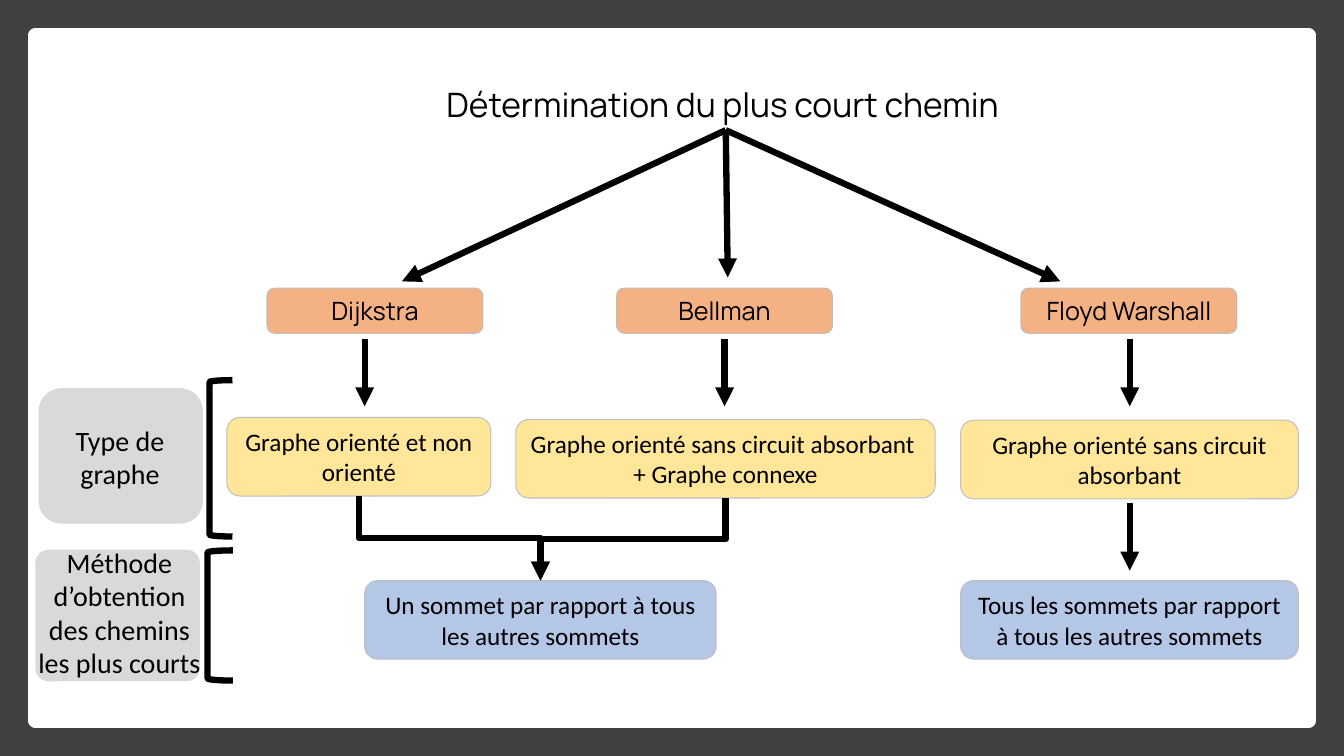
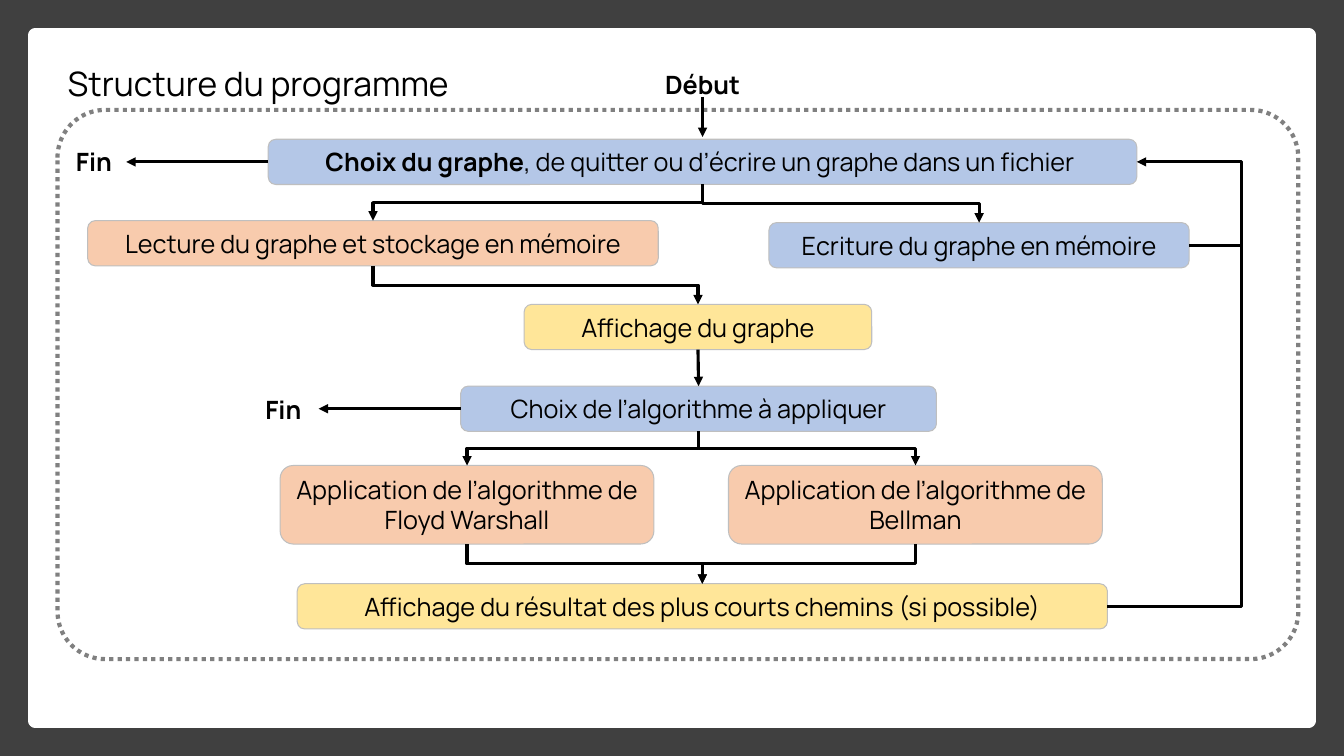
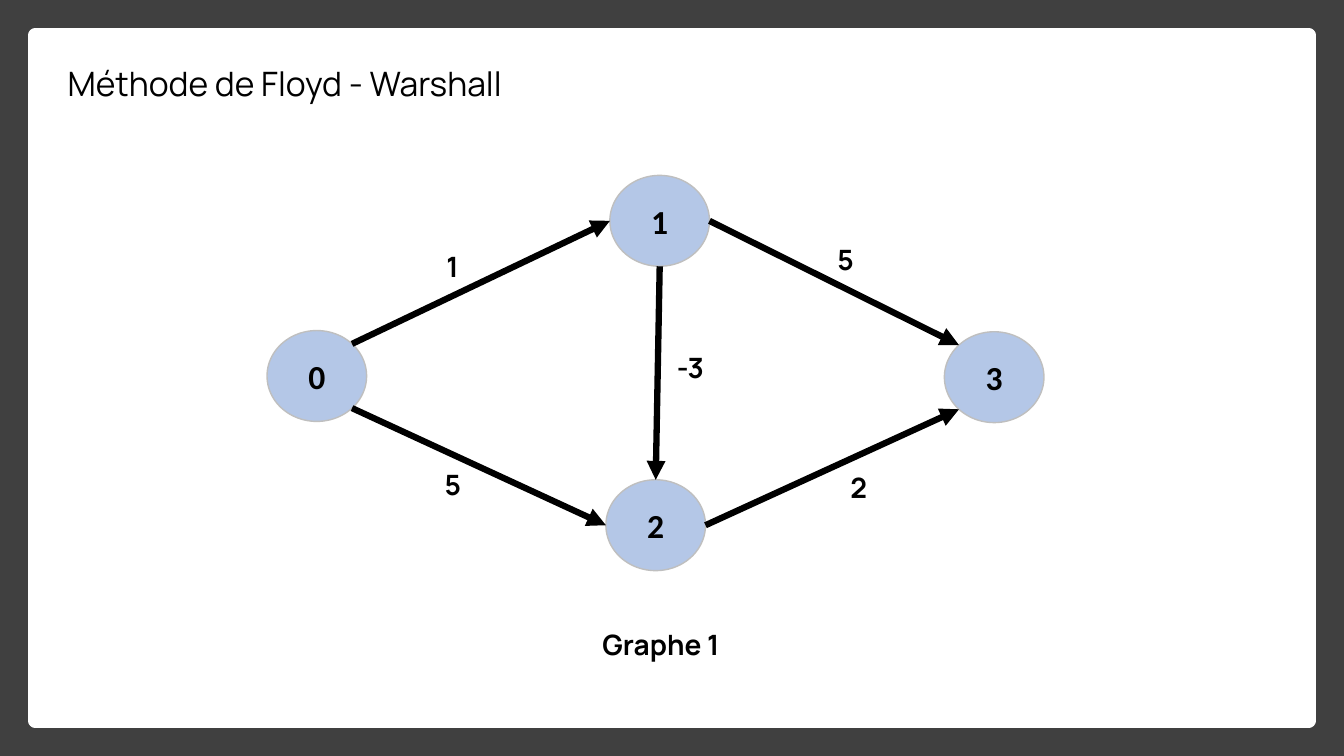
import math

import lxml.etree
import pptx
import pptx.dml.color
import pptx.enum.dml
import pptx.enum.shapes
import pptx.enum.text
import pptx.oxml.ns
import pptx.util

Cm = pptx.util.Cm
Preset = pptx.enum.shapes.MSO_SHAPE
Connector = pptx.enum.shapes.MSO_CONNECTOR
Align = pptx.enum.text.PP_ALIGN
Anchor = pptx.enum.text.MSO_ANCHOR

SLIDE_SIZE = (33.87, 19.05)
BLACK, WHITE, DARK = "000000", "FFFFFF", "404040"
BLUE, YELLOW, ORANGE, PEACH = "B4C7E7", "FFE699", "F4B183", "F8CBAD"
PALE_GREY, EDGE_GREY, DOT_GREY = "D9D9D9", "BFBFBF", "808080"
ONE_LINE, TWO_LINES = 1.14, 1.98
THICK, THIN = 4.5, 2.25

DIAGONAL = math.sqrt(0.5)
SIDES = {
    "top": (0, -1), "bottom": (0, 1), "left": (-1, 0), "right": (1, 0),
    "top left": (-DIAGONAL, -DIAGONAL), "top right": (DIAGONAL, -DIAGONAL),
    "bottom left": (-DIAGONAL, DIAGONAL), "bottom right": (DIAGONAL, DIAGONAL),
}

PATHS_TITLE = ("Détermination du plus court chemin ", (9.14, 1.98, 18.31, 1.27))
ALGORITHMS = [("Dijkstra", 6.73), ("Bellman", 15.54), ("Floyd Warshall", 25.73)]
FAN_START = (18.29, 3.28)
FAN_ENDS = [(10.13, 7.09), (26.72, 7.09), (18.34, 6.99)]
DOWN_ARROWS = [(9.19, 8.53), (18.26, 8.53), (28.47, 8.53), (28.47, 12.67)]
DOWN_LENGTH = 1.71
CRITERIA = {
    "simple": (["Graphe orienté et non orienté"], YELLOW, (5.72, 10.52, 6.65)),
    "connected": (["Graphe orienté sans circuit absorbant ", "+ Graphe connexe"],
                  YELLOW, (13, 10.57, 10.57)),
    "directed": (["Graphe orienté sans circuit absorbant"], YELLOW, (24.21, 10.59, 8.51)),
    "one vertex": (["Un sommet par rapport à tous les autres sommets"],
                   BLUE, (9.19, 14.63, 8.86)),
    "all vertices": (["Tous les sommets par rapport à tous les autres sommets"],
                     BLUE, (24.21, 14.63, 8.51)),
}
ROW_LABELS = [
    (["Type de graphe"], (0.99, 9.8, 4.11, 3.38), 0.167,
     (1.63, 10.54, 2.79, 1.96), (5.28, 9.58, 0.58, 3.94)),
    (["Méthode", "d’obtention des chemins les plus courts"], (0.91, 13.87, 4.11, 3.28), 0.097,
     (0.61, 13.61, 4.8, 3.68), (5.23, 13.87, 0.64, 3.28)),
]

PROGRAM_TITLE = ("Structure du programme", (1.45, 1.47, 11.2, 1.27))
STEPS = {
    "choice": ([[("Choix du graphe", True),
                 (", de quitter ou d’écrire un graphe dans un fichier ", False)]],
               BLUE, (6.76, 3.51, 21.89, ONE_LINE)),
    "write": (["Ecriture du graphe en mémoire"], BLUE, (19.38, 5.61, 10.59, ONE_LINE)),
    "read": (["Lecture du graphe et stockage en mémoire"], PEACH, (2.21, 5.56, 14.38, ONE_LINE)),
    "show": (["Affichage du graphe"], YELLOW, (13.21, 7.67, 8.76, ONE_LINE)),
    "algorithm": (["Choix de l’algorithme à appliquer"], BLUE, (11.61, 9.73, 11.99, ONE_LINE)),
    "floyd": (["Application de l’algorithme de Floyd Warshall"],
              PEACH, (7.06, 11.73, 9.42, TWO_LINES)),
    "bellman": (["Application de l’algorithme de Bellman"],
                PEACH, (18.36, 11.73, 9.42, TWO_LINES)),
    "result": (["Affichage du résultat des plus courts chemins (si possible)"],
               YELLOW, (7.49, 14.71, 20.42, ONE_LINE)),
}
BRANCHES = [("choice", "write"), ("choice", "read"), ("read", "show"),
            ("algorithm", "bellman"), ("algorithm", "floyd"),
            ("bellman", "result"), ("floyd", "result")]
TERMINALS = [("Début", (14.86, 1.63, 5.69, 1.02)), ("Fin", (0.87, 3.56, 3, 1.02)),
             ("Fin", (5.64, 9.8, 3, 1.02))]
EXITS = [("choice", 3.18), ("algorithm", 8.03)]
START_TOP, START_BOTTOM = 2.44, 3.45
RETURN_RAIL = 31.29
PROGRAM_OUTLINE = (1.45, 2.77, 31.27, 13.84)

GRAPH_TITLE = ("Méthode de Floyd - Warshall", (1.45, 1.47, 14.35, 1.27))
NODE_SIZE = (2.51, 2.29)
NODES = {"0": (6.73, 8.33), "1": (15.37, 4.42), "2": (15.27, 12.09), "3": (23.8, 8.36)}
EDGES = [("1", "bottom", "2", "top"), ("0", "bottom right", "2", "left"),
         ("0", "top right", "1", "left"), ("1", "right", "3", "top left"),
         ("2", "right", "3", "bottom left")]
GRAPH_LABELS = [
    ("1", (11, 6.15, 1.42), Align.LEFT), ("5", (20.7, 5.99, 1.22), Align.CENTER),
    ("5", (10.8, 11.66, 1.22), Align.CENTER), ("-3", (16.81, 8.71, 2.11), Align.LEFT),
    ("2", (21.03, 11.73, 1.22), Align.CENTER), ("Graphe 1", (11.84, 15.7, 9.63), Align.CENTER),
]


def colour(value):
    return pptx.dml.color.RGBColor.from_string(value)


def lengths(values):
    return [Cm(value) for value in values]


def write(shape, paragraphs, size, font="Manrope", bold=False, align=Align.CENTER):
    frame = shape.text_frame
    frame.word_wrap = True
    for index, content in enumerate(paragraphs):
        paragraph = frame.add_paragraph() if index else frame.paragraphs[0]
        paragraph.alignment = align
        for text, weight in [(content, bold)] if isinstance(content, str) else content:
            run = paragraph.add_run()
            run.text = text
            run.font.name = font
            run.font.size = pptx.util.Pt(size)
            run.font.bold = weight
            run.font.color.rgb = colour(BLACK)


def add_block(slide, preset, box, fill=None, line=None, width=0.75, radius=None):
    shape = slide.shapes.add_shape(preset, *lengths(box))
    shape.shadow.inherit = False
    if fill:
        shape.fill.solid()
        shape.fill.fore_color.rgb = colour(fill)
    else:
        shape.fill.background()
    if line:
        shape.line.color.rgb = colour(line)
        shape.line.width = pptx.util.Pt(width)
    else:
        shape.line.fill.background()
    if radius:
        shape.adjustments[0] = radius
    return shape


def add_box(slide, box, fill, paragraphs, font="Manrope"):
    shape = add_block(slide, Preset.ROUNDED_RECTANGLE, box, fill, EDGE_GREY)
    write(shape, paragraphs, 18, font)
    return shape


def add_text(slide, box, paragraphs, size, **style):
    write(slide.shapes.add_textbox(*lengths(box)), paragraphs, size, **style)


def site(shape, side):
    across, down = SIDES[side]
    return (round(shape.left + shape.width * (1 + across) / 2),
            round(shape.top + shape.height * (1 + down) / 2))


def add_line(slide, start, end, width, kind=Connector.STRAIGHT, arrow=True):
    connector = slide.shapes.add_connector(kind, *start, *end)
    connector.line.color.rgb = colour(BLACK)
    connector.line.width = pptx.util.Pt(width)
    if arrow:
        tail = lxml.etree.SubElement(connector.line._get_or_add_ln(),
                                     pptx.oxml.ns.qn("a:tailEnd"))
        tail.set("type", "triangle")
    lxml.etree.SubElement(connector._element.spPr, pptx.oxml.ns.qn("a:effectLst"))
    return connector


def add_branch(slide, upper, lower, width):
    (start_x, start_y), (end_x, end_y) = site(upper, "bottom"), site(lower, "top")
    center_x, center_y = (start_x + end_x) // 2, (start_y + end_y) // 2
    half_run, half_drop = abs(end_x - start_x) // 2, (end_y - start_y) // 2
    rightward = end_x > start_x
    reach = half_drop if rightward else -half_drop
    connector = add_line(slide, (center_x + reach, center_y - half_run),
                         (center_x - reach, center_y + half_run), width, Connector.ELBOW)
    connector._element.spPr.xfrm.set("rot", str((270 if rightward else 90) * 60000))


def add_return(slide, start, end, rail, width):
    connector = add_line(slide, start, end, width, Connector.ELBOW)
    geometry = connector._element.spPr.find(pptx.oxml.ns.qn("a:prstGeom"))
    guide = lxml.etree.SubElement(geometry.find(pptx.oxml.ns.qn("a:avLst")),
                                  pptx.oxml.ns.qn("a:gd"))
    guide.set("name", "adj1")
    guide.set("fmla", f"val {round(100000 * (rail - start[0]) / (end[0] - start[0]))}")


def add_titled_slide(presentation, title, align=Align.LEFT):
    text, box = title
    slide = presentation.slides.add_slide(presentation.slide_layouts[5])
    shape = slide.shapes.title
    shape.left, shape.top, shape.width, shape.height = lengths(box)
    write(shape, [text], 24, align=align)
    shape.text_frame.auto_size = pptx.enum.text.MSO_AUTO_SIZE.NONE
    shape.text_frame.vertical_anchor = Anchor.TOP
    return slide


def move_frame_to_layout(slide):
    margin = 0.89
    panel = (margin, margin, SLIDE_SIZE[0] - 2 * margin, SLIDE_SIZE[1] - 2 * margin)
    blocks = [add_block(slide, Preset.RECTANGLE, (0, 0, *SLIDE_SIZE), DARK),
              add_block(slide, Preset.RECTANGLE, panel, WHITE, WHITE, 10)]
    for index, block in enumerate(blocks):
        block._element.nvSpPr.cNvPr.set("id", str(100 + index))
        slide.slide_layout.shapes._spTree.insert(2 + index, block._element)


def build_paths(slide):
    for name, left in ALGORITHMS:
        add_box(slide, (left, 7.26, 5.44, ONE_LINE), ORANGE, [name])
    for end in FAN_ENDS:
        add_line(slide, lengths(FAN_START), lengths(end), THICK)
    for left, top in DOWN_ARROWS:
        add_line(slide, lengths((left, top)), lengths((left, top + DOWN_LENGTH)), THICK)
    boxes = {name: add_box(slide, (*place, TWO_LINES), fill, paragraphs, "Calibri")
             for name, (paragraphs, fill, place) in CRITERIA.items()}
    for paragraphs, plate, radius, label, bracket in ROW_LABELS:
        add_block(slide, Preset.ROUNDED_RECTANGLE, plate, PALE_GREY, PALE_GREY, 1, radius)
        add_block(slide, Preset.LEFT_BRACKET, bracket, line=BLACK, width=THICK)
        add_text(slide, label, paragraphs, 20, font="Calibri")
    for name in ("connected", "simple"):
        add_branch(slide, boxes[name], boxes["one vertex"], THICK)


def build_program(slide):
    boxes = {name: add_box(slide, place, fill, paragraphs)
             for name, (paragraphs, fill, place) in STEPS.items()}
    outline = add_block(slide, Preset.ROUNDED_RECTANGLE, PROGRAM_OUTLINE,
                        line=DOT_GREY, width=3, radius=0.087)
    outline.line.dash_style = pptx.enum.dml.MSO_LINE.ROUND_DOT
    for text, place in TERMINALS:
        add_text(slide, place, [text], 18, bold=True)
    for upper, lower in BRANCHES:
        add_branch(slide, boxes[upper], boxes[lower], THIN)
    for name, end_x in EXITS:
        start = site(boxes[name], "left")
        add_line(slide, start, (Cm(end_x), start[1]), THIN)
    middle = site(boxes["choice"], "top")[0]
    add_line(slide, (middle, Cm(START_TOP)), (middle, Cm(START_BOTTOM)), THIN)
    add_line(slide, site(boxes["show"], "bottom"), site(boxes["algorithm"], "top"), THIN)
    rail = Cm(RETURN_RAIL)
    add_return(slide, site(boxes["result"], "right"), site(boxes["choice"], "right"), rail, THIN)
    written = site(boxes["write"], "right")
    add_line(slide, written, (rail, written[1]), THIN, arrow=False)


def build_graph(slide):
    nodes = {}
    for name, place in NODES.items():
        nodes[name] = add_block(slide, Preset.FLOWCHART_CONNECTOR, (*place, *NODE_SIZE),
                                BLUE, EDGE_GREY, 1)
        write(nodes[name], [name], 24, "Calibri", True)
    for origin, leaving, target, entering in EDGES:
        add_line(slide, site(nodes[origin], leaving), site(nodes[target], entering), THICK)
    for text, place, align in GRAPH_LABELS:
        add_text(slide, (*place, 1.12), [text], 20, bold=True, align=align)


def main():
    presentation = pptx.Presentation()
    presentation.slide_width, presentation.slide_height = lengths(SLIDE_SIZE)
    paths = add_titled_slide(presentation, PATHS_TITLE, Align.CENTER)
    move_frame_to_layout(paths)
    build_paths(paths)
    build_program(add_titled_slide(presentation, PROGRAM_TITLE))
    build_graph(add_titled_slide(presentation, GRAPH_TITLE))
    presentation.save("out.pptx")


if __name__ == "__main__":
    main()
